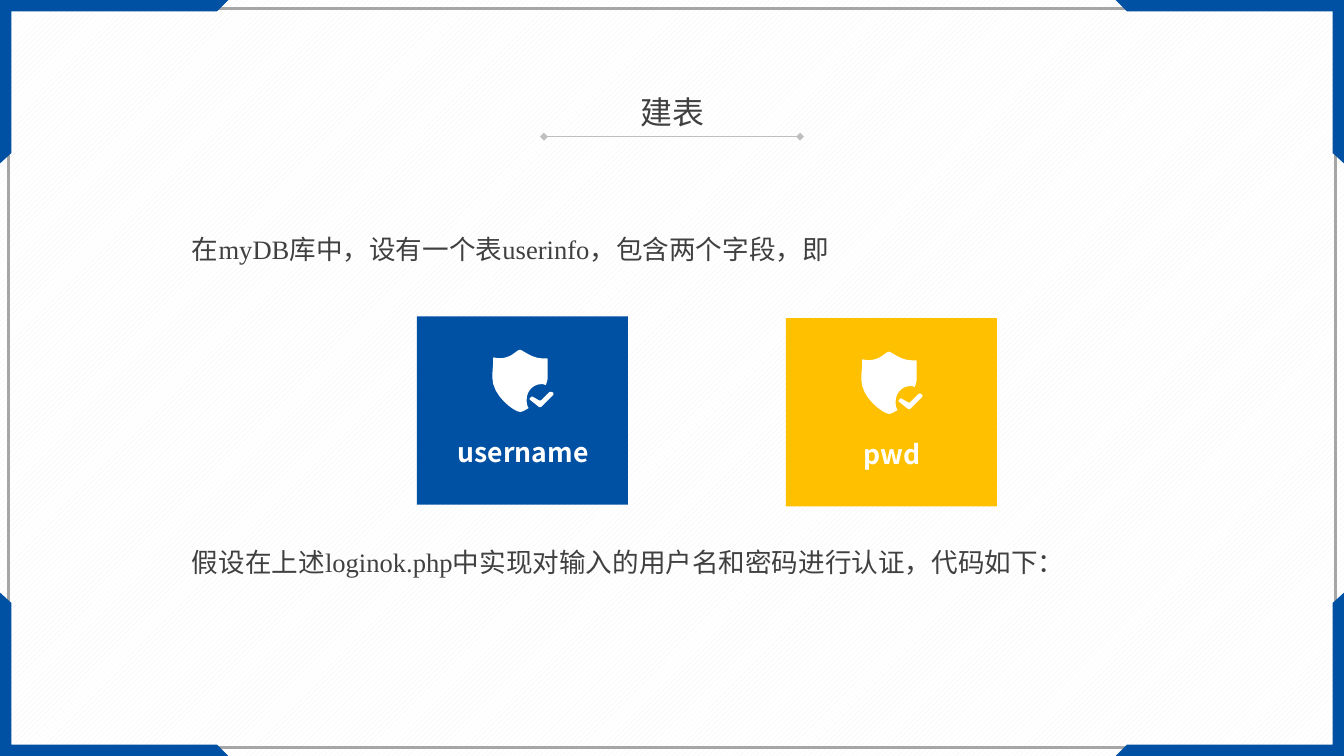
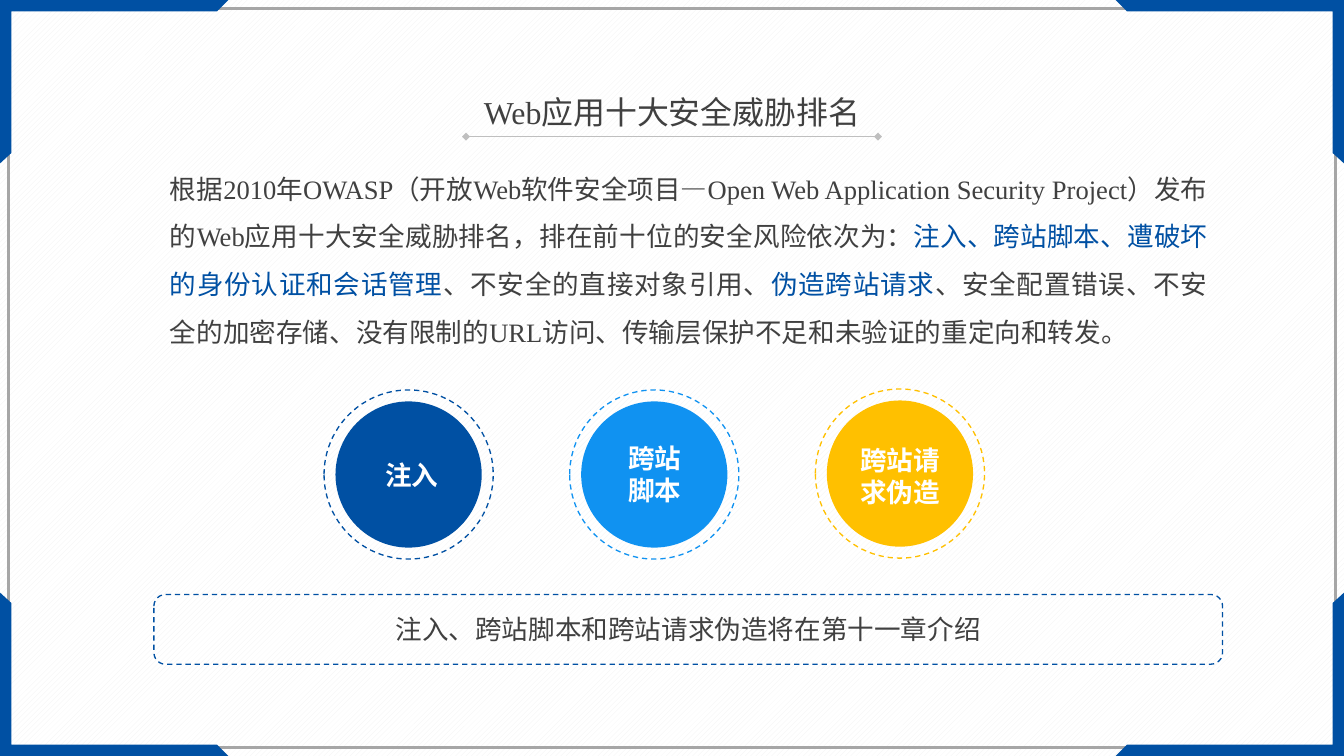
from pptx import Presentation
from pptx.dml.color import RGBColor
from pptx.enum.dml import MSO_LINE, MSO_PATTERN
from pptx.enum.shapes import MSO_CONNECTOR, MSO_SHAPE
from pptx.enum.text import MSO_ANCHOR, MSO_AUTO_SIZE, PP_ALIGN
from pptx.oxml.ns import qn
from pptx.util import Inches, Pt
from lxml.etree import SubElement

BLUE = RGBColor(0x00, 0x50, 0xA3)
SKY = RGBColor(0x10, 0x92, 0xF1)
GOLD = RGBColor(0xFF, 0xC0, 0x00)
WHITE = RGBColor(0xFF, 0xFF, 0xFF)
DARK = RGBColor(0x40, 0x40, 0x40)
FRAME_GRAY = RGBColor(0xA6, 0xA6, 0xA6)
RULE_GRAY = RGBColor(0xBF, 0xBF, 0xBF)
STRIPE = RGBColor(0xF2, 0xF2, 0xF2)

SERIF = "Times New Roman"
SANS = "Noto Sans CJK SC"
SLIDE_W, SLIDE_H = 14.06, 7.91

# Corner bracket, measured from the slide corner
CORNER = [(0, 0), (2.39, 0), (2.27, 0.12), (0.12, 0.12), (0.12, 1.6), (0, 1.71)]

# Shield: start point, then cubic curves (two controls and an end point)
SHIELD_START = (0.36, 0.52)
SHIELD_CURVES = [
    ((0.36, 0.43), (0.43, 0.36), (0.51, 0.36)),
    ((0.53, 0.36), (0.54, 0.36), (0.56, 0.37)),
    ((0.57, 0.34), (0.58, 0.31), (0.58, 0.29)),
    ((0.58, 0.23), (0.58, 0.16), (0.58, 0.1)),
    ((0.58, 0.09), (0.57, 0.09), (0.56, 0.09)),
    ((0.53, 0.09), (0.49, 0.09), (0.46, 0.08)),
    ((0.38, 0.06), (0.31, 0), (0.29, 0)),
    ((0.26, 0), (0.22, 0.06), (0.14, 0.08)),
    ((0.1, 0.09), (0.05, 0.09), (0.02, 0.08)),
    ((0.01, 0.08), (0.01, 0.08), (0.01, 0.1)),
    ((0.01, 0.16), (0, 0.23), (0, 0.29)),
    ((0, 0.48), (0.23, 0.65), (0.29, 0.65)),
    ((0.31, 0.65), (0.33, 0.64), (0.38, 0.61)),
    ((0.36, 0.58), (0.36, 0.55), (0.36, 0.52)),
]
CHECK = [(0.51, 0.6), (0.49, 0.6), (0.39, 0.52), (0.39, 0.51), (0.41, 0.49),
         (0.42, 0.49), (0.49, 0.53), (0.51, 0.53), (0.6, 0.44), (0.62, 0.44),
         (0.64, 0.45), (0.64, 0.47)]


def style(sp, fill=None, line=None, width=1, dash=None):
    sp.shadow.inherit = False
    if fill is None:
        sp.fill.background()
    else:
        sp.fill.solid()
        sp.fill.fore_color.rgb = fill
    if line is None:
        sp.line.fill.background()
    else:
        sp.line.color.rgb = line
        sp.line.width = Pt(width)
        if dash:
            sp.line.dash_style = dash


def add_box(s, kind, x, y, w, h, **look):
    sp = s.shapes.add_shape(kind, Inches(x), Inches(y), Inches(w), Inches(h))
    style(sp, **look)
    return sp


def add_outline(s, points, fill):
    pts = [(Inches(x), Inches(y)) for x, y in points]
    builder = s.shapes.build_freeform(*pts[0])
    builder.add_line_segments(pts[1:], close=True)
    style(builder.convert_to_shape(), fill=fill)


def set_text(tf, runs, font, size, color, align, bold=False, spacing=None):
    """Fill one paragraph; runs is a list of (text, colour or None)."""
    p = tf.paragraphs[0]
    p.alignment = align
    p.font.name, p.font.size, p.font.bold = font, Pt(size), bold
    p.font.color.rgb = color
    if spacing:
        p.line_spacing = spacing
    for text, run_color in runs:
        r = p.add_run()
        r.text = text
        if run_color is not None:
            r.font.color.rgb = run_color


def add_text(s, x, y, w, h, runs, font=SANS, size=20, color=WHITE,
             align=PP_ALIGN.CENTER, wrap=True, **look):
    tb = s.shapes.add_textbox(Inches(x), Inches(y), Inches(w), Inches(h))
    tf = tb.text_frame
    tf.word_wrap = wrap
    tf.auto_size = MSO_AUTO_SIZE.SHAPE_TO_FIT_TEXT
    set_text(tf, runs, font, size, color, align, **look)


def add_body(s, x, y, h, runs):
    add_text(s, x, y, 11.05, h, runs, font=SERIF, color=DARK,
             align=PP_ALIGN.JUSTIFY, spacing=1.5)


def add_frame(s):
    """Grey border with a blue bracket in each corner."""
    add_box(s, MSO_SHAPE.RECTANGLE, 0.09, 0.09, SLIDE_W - 0.18, SLIDE_H - 0.18,
            line=FRAME_GRAY, width=2)
    for right in (False, True):
        for bottom in (False, True):
            add_outline(s, [(SLIDE_W - x if right else x,
                             SLIDE_H - y if bottom else y) for x, y in CORNER], BLUE)


def add_title(s, text, rule_w):
    """Centred title above a rule with diamond ends."""
    mid = SLIDE_W / 2
    left, right, y = Inches(mid - rule_w / 2), Inches(mid + rule_w / 2), Inches(1.43)
    rule = s.shapes.add_connector(MSO_CONNECTOR.STRAIGHT, left, y, right, y)
    rule.line.color.rgb = RULE_GRAY
    rule.line.width = Pt(0.5)
    ln = rule.line._get_or_add_ln()
    for end in ("a:headEnd", "a:tailEnd"):
        SubElement(ln, qn(end), type="diamond")
    SubElement(rule._element.spPr, qn("a:effectLst"))
    add_text(s, mid - rule_w / 2, 0.92, rule_w, 0.5, [(text, None)], font=SERIF,
             size=24, color=DARK, wrap=False)


def curve_points(start, curves, steps=8):
    points = [start]
    for c1, c2, end in curves:
        for i in range(1, steps + 1):
            t = i / steps
            u = 1 - t
            points.append(tuple(
                u**3 * a + 3 * u * u * t * b + 3 * u * t * t * c + t**3 * d
                for a, b, c, d in zip(start, c1, c2, end)))
        start = end
    return points


def add_field_card(s, x, y, name, color):
    """Coloured card with a shield icon and a field name."""
    add_box(s, MSO_SHAPE.RECTANGLE, x, y, 2.21, 1.97, fill=color)
    for points in (curve_points(SHIELD_START, SHIELD_CURVES), CHECK):
        add_outline(s, [(x + 0.79 + px, y + 0.35 + py) for px, py in points], WHITE)
    add_text(s, x + 0.3, y + 1.2, 1.63, 0.44, [(name, None)], bold=True)


def add_threat(s, x, y, name, color, label):
    """Disc in a dashed ring; label is its box relative to the ring."""
    add_box(s, MSO_SHAPE.OVAL, x, y, 1.77, 1.77, line=color, dash=MSO_LINE.DASH)
    add_box(s, MSO_SHAPE.OVAL, x + 0.12, y + 0.12, 1.53, 1.53, fill=color)
    dx, dy, w, h = label
    add_text(s, x + dx, y + dy, w, h, [(name, None)], bold=True)


def add_note(s, x, y, w, h, text):
    sp = add_box(s, MSO_SHAPE.ROUNDED_RECTANGLE, x, y, w, h, line=BLUE,
                 dash=MSO_LINE.DASH)
    sp.text_frame.word_wrap = True
    sp.text_frame.vertical_anchor = MSO_ANCHOR.MIDDLE
    set_text(sp.text_frame, [(text, None)], SANS, 20, DARK, PP_ALIGN.CENTER)


def add_slide(prs, title, rule_w):
    s = prs.slides.add_slide(prs.slide_layouts[6])
    add_frame(s)
    add_title(s, title, rule_w)
    return s


def build_table_slide(prs):
    s = add_slide(prs, "建表", 2.68)
    add_field_card(s, 4.36, 3.31, "username", BLUE)
    add_field_card(s, 8.22, 3.33, "pwd", GOLD)
    add_body(s, 1.91, 2.22, 0.61,
             [("在myDB库中，设有一个表userinfo，包含两个字段，即", None)])
    add_body(s, 1.91, 5.5, 0.61,
             [("假设在上述loginok.php中实现对输入的用户名和密码进行认证，代码如下：", None)])


def build_threat_slide(prs):
    s = add_slide(prs, "Web应用十大安全威胁排名", 4.31)
    add_body(s, 1.68, 1.59, 2.06, [
        ("根据2010年OWASP（开放Web软件安全项目—Open Web Application Security Project）"
         "发布的Web应用十大安全威胁排名，排在前十位的安全风险依次为：", None),
        ("注入、跨站脚本、遭破坏的身份认证和会话管理", BLUE),
        ("、不安全的直接对象引用、", None),
        ("伪造跨站请求", BLUE),
        ("、安全配置错误、不安全的加密存储、没有限制的URL访问、"
         "传输层保护不足和未验证的重定向和转发。", None),
    ])
    add_note(s, 1.61, 6.22, 11.18, 0.73, "注入、跨站脚本和跨站请求伪造将在第十一章介绍")
    threats = [
        ("注入", BLUE, 4.08, (0.44, 0.67, 0.96, 0.44)),
        ("跨站脚本", SKY, 4.08, (0.41, 0.5, 0.96, 0.77)),
        ("跨站请求伪造", GOLD, 4.07, (0.34, 0.53, 1.09, 0.77)),
    ]
    for i, (name, color, y, label) in enumerate(threats):
        add_threat(s, 3.39 + 2.57 * i, y, name, color, label)


def main():
    prs = Presentation()
    prs.slide_width, prs.slide_height = Inches(SLIDE_W), Inches(SLIDE_H)
    # Striped background shared by every slide
    fill = prs.slide_master.background.fill
    fill.patterned()
    fill.pattern = MSO_PATTERN.WIDE_UPWARD_DIAGONAL
    fill.fore_color.rgb = STRIPE
    fill.back_color.rgb = WHITE
    build_table_slide(prs)
    build_threat_slide(prs)
    prs.save("out.pptx")


if __name__ == "__main__":
    main()
